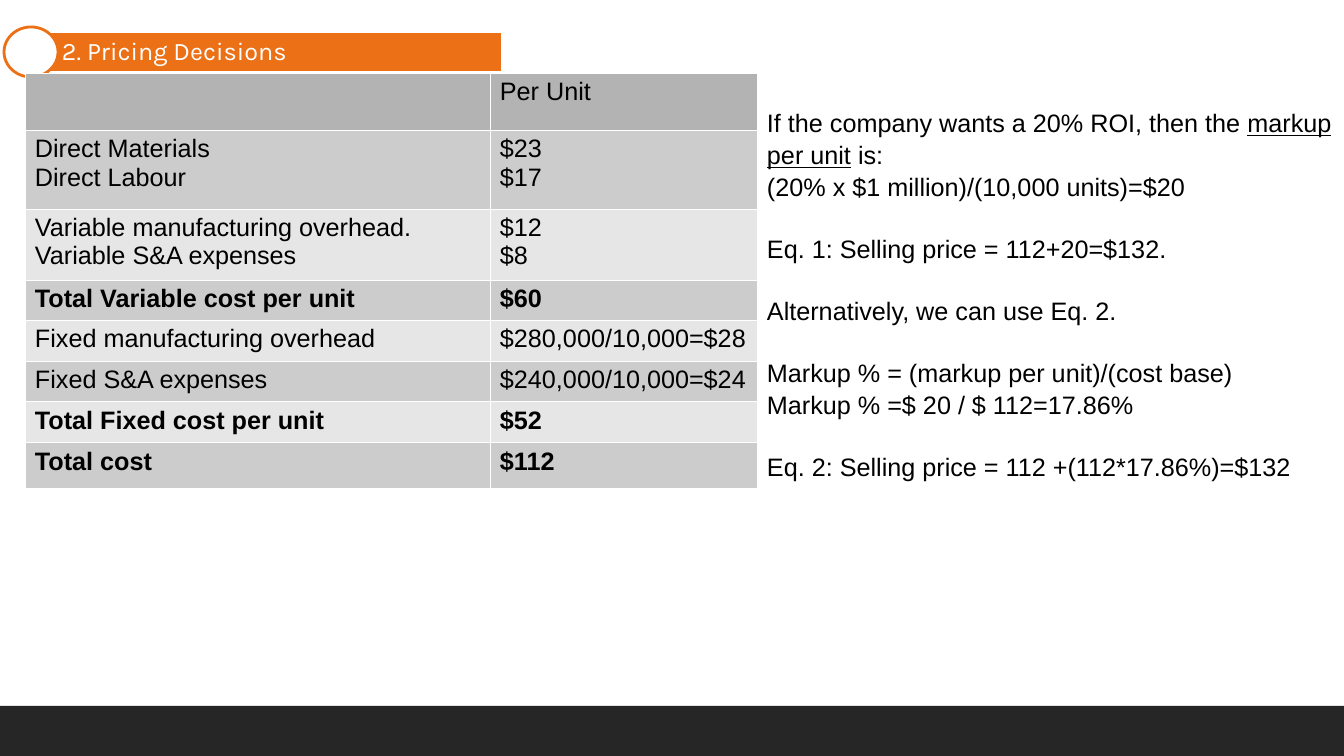
from lxml import etree
from pptx import Presentation
from pptx.dml.color import RGBColor
from pptx.enum.shapes import MSO_SHAPE
from pptx.enum.text import MSO_ANCHOR, MSO_AUTO_SIZE, PP_ALIGN
from pptx.oxml.ns import qn
from pptx.util import Emu, Pt

RECTANGLE, OVAL = MSO_SHAPE.RECTANGLE, MSO_SHAPE.OVAL
MIDDLE, LEFT, NO_AUTOFIT = MSO_ANCHOR.MIDDLE, PP_ALIGN.LEFT, MSO_AUTO_SIZE.NONE

EMU_PER_PX = 914400 / 100.8
SLIDE_WIDTH, SLIDE_HEIGHT = 1344, 756
TITLE_ONLY_LAYOUT = 5

WHITE = RGBColor(0xFF, 0xFF, 0xFF)
BLACK = RGBColor(0, 0, 0)
ORANGE = RGBColor(0xEC, 0x70, 0x16)
CHARCOAL = RGBColor(0x26, 0x26, 0x26)
HEADER_GRAY = RGBColor(0xB3, 0xB3, 0xB3)
BAND_GRAYS = (RGBColor(0xCC, 0xCC, 0xCC), RGBColor(0xE6, 0xE6, 0xE6))

COLUMN_WIDTHS = (465, 267)
# Row height, labels, amounts, bold
COST_ROWS = [
    (57, [""], ["Per Unit"], False),
    (79, ["Direct Materials", "Direct Labour"], ["$23", "$17"], False),
    (71, ["Variable manufacturing overhead.", "Variable S&A expenses"], ["$12", "$8"], False),
    (40, ["Total Variable cost per unit"], ["$60"], True),
    (41, ["Fixed manufacturing overhead"], ["$280,000/10,000=$28"], False),
    (40, ["Fixed S&A expenses"], ["$240,000/10,000=$24"], False),
    (41, ["Total Fixed cost per unit"], ["$52"], True),
    (46, ["Total cost"], ["$112"], True),
]

# Each group holds paragraphs, each paragraph holds (text, underlined) runs
PRICING_GROUPS = [
    [[("If the company wants a 20% ROI, then the ", False), ("markup per unit", True),
      (" is:", False)],
     [("(20% x $1 million)/(10,000 units)=$20", False)]],
    [[("Eq. 1: Selling price = 112+20=$132.", False)]],
    [[("Alternatively, we can use Eq. 2.", False)]],
    [[("Markup % = (markup per unit)/(cost base)", False)],
     [("Markup % =$ 20 / $ 112=17.86%", False)]],
    [[("Eq. 2: Selling price = 112 +(112*17.86%)=$132", False)]],
]


def px(length):
    return Emu(round(length * EMU_PER_PX))


def add_run(paragraph, text, font_name="Arial", color=BLACK, bold=False, underline=False):
    run = paragraph.add_run()
    run.text = text
    font = run.font
    font.name, font.size, font.bold, font.underline = font_name, Pt(18), bold, underline
    font.color.rgb = color


def set_insets(target, left, top, right, bottom):
    target.margin_left, target.margin_top = px(left), px(top)
    target.margin_right, target.margin_bottom = px(right), px(bottom)


def add_plain_shape(slide, kind, left, top, width, height, fill, line=None):
    shape = slide.shapes.add_shape(kind, px(left), px(top), px(width), px(height))
    shape.shadow.inherit = False
    shape.fill.solid()
    shape.fill.fore_color.rgb = fill
    if line is None:
        shape.line.fill.background()
    else:
        shape.line.color.rgb = line
        shape.line.width = Pt(2)


def add_footer_band(slide, left, top, width, height):
    add_plain_shape(slide, RECTANGLE, left, top, width, height, CHARCOAL)


def add_title_banner(slide, left, top, width, height):
    # Orange bar
    title = slide.shapes.title
    title.left, title.top = px(left), px(top)
    title.width, title.height = px(width), px(height)
    title.fill.solid()
    title.fill.fore_color.rgb = ORANGE
    title.line.color.rgb = WHITE
    title.line.width = Pt(2)
    frame = title.text_frame
    frame.auto_size, frame.vertical_anchor, frame.word_wrap = NO_AUTOFIT, MIDDLE, True
    set_insets(frame, 31, 5, 5, 5)
    paragraph = frame.paragraphs[0]
    paragraph.alignment, paragraph.line_spacing = LEFT, 0.9
    add_run(paragraph, "2. Pricing Decisions", "Karla", WHITE)
    # Circle over the left end
    add_plain_shape(slide, OVAL, left - 27, top - 5, 54, 50, WHITE, ORANGE)


def set_cell_borders(cell):
    properties = cell._tc.get_or_add_tcPr()
    for position, side in enumerate(("lnL", "lnR", "lnT", "lnB")):
        border = etree.Element(qn(f"a:{side}"), w="762")
        fill = etree.SubElement(border, qn("a:solidFill"))
        etree.SubElement(fill, qn("a:srgbClr"), val=str(WHITE))
        properties.insert(position, border)


def fill_cell(cell, lines, color, bold):
    cell.fill.solid()
    cell.fill.fore_color.rgb = color
    set_cell_borders(cell)
    set_insets(cell, 10, 5, 10, 5)
    frame = cell.text_frame
    for index, line in enumerate(lines):
        paragraph = frame.add_paragraph() if index else frame.paragraphs[0]
        if line:
            add_run(paragraph, line, bold=bold)


def add_cost_table(slide, left, top):
    height = sum(row[0] for row in COST_ROWS)
    table = slide.shapes.add_table(len(COST_ROWS), len(COLUMN_WIDTHS), px(left), px(top),
                                   px(sum(COLUMN_WIDTHS)), px(height)).table
    table.first_row = table.horz_banding = False
    for column, width in zip(table.columns, COLUMN_WIDTHS):
        column.width = px(width)
    for index, (row_height, labels, amounts, bold) in enumerate(COST_ROWS):
        table.rows[index].height = px(row_height)
        color = BAND_GRAYS[(index - 1) % 2] if index else HEADER_GRAY
        for column, lines in enumerate((labels, amounts)):
            fill_cell(table.cell(index, column), lines, color, bold)


def add_pricing_notes(slide, left, top, width, height):
    frame = slide.shapes.add_textbox(px(left), px(top), px(width), px(height)).text_frame
    frame.word_wrap = True
    set_insets(frame, 10, 5, 10, 5)
    paragraph = frame.paragraphs[0]
    for group_index, group in enumerate(PRICING_GROUPS):
        for index, runs in enumerate(group):
            if group_index or index:
                paragraph = frame.add_paragraph()
            paragraph.line_spacing = 1.05
            if group_index and index == 0:
                paragraph.space_before = Pt(21.7)
            for text, underline in runs:
                add_run(paragraph, text, underline=underline)


def main():
    presentation = Presentation()
    presentation.slide_width, presentation.slide_height = px(SLIDE_WIDTH), px(SLIDE_HEIGHT)
    slide = presentation.slides.add_slide(presentation.slide_layouts[TITLE_ONLY_LAYOUT])
    add_footer_band(slide, 0, 706, SLIDE_WIDTH, 50)
    add_title_banner(slide, 31, 32, 471, 40)
    add_pricing_notes(slide, 757, 101, 600, 380)
    add_cost_table(slide, 25, 73)
    presentation.save("out.pptx")


if __name__ == "__main__":
    main()
